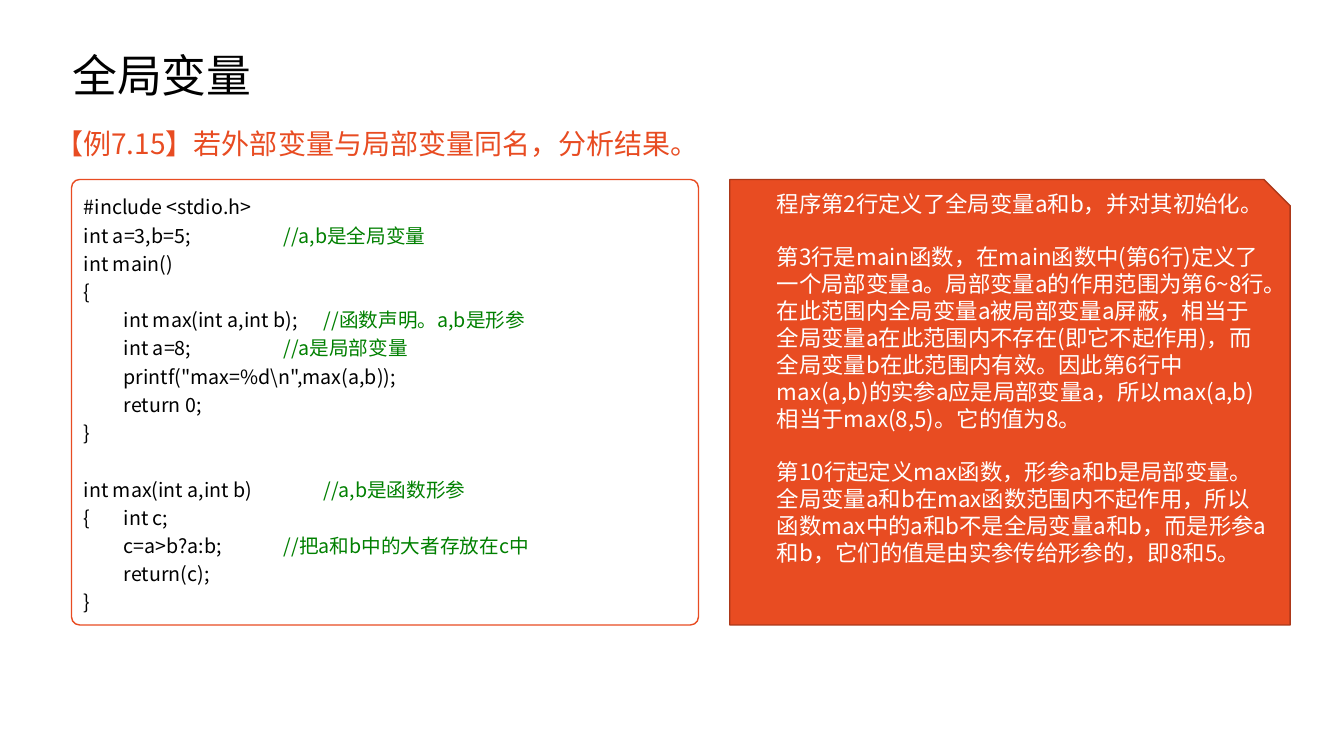
from dataclasses import dataclass

from lxml.etree import SubElement
from pptx import Presentation
from pptx.dml.color import RGBColor
from pptx.enum.shapes import MSO_SHAPE
from pptx.enum.text import MSO_ANCHOR, PP_ALIGN
from pptx.oxml.ns import qn
from pptx.util import Pt


@dataclass(frozen=True)
class Theme:
    font: str = "Noto Sans CJK SC"
    ink: str = "000000"
    paper: str = "FFFFFF"
    accent: str = "E84C22"
    edge: str = "AC3819"
    note: str = "008000"
    title: int = 32
    head: int = 20
    body: int = 16
    code: int = 14
    tab: float = 28.57
    stops: int = 6


class Deck:
    """Draws styled elements on the current slide."""

    def __init__(self, theme):
        self.theme = theme
        self.file = Presentation()
        self.file.slide_width, self.file.slide_height = Pt(960), Pt(540)
        self.slide = self.file.slides.add_slide(self.file.slide_layouts[6])
        fill = self.slide.background.fill
        fill.solid()
        fill.fore_color.rgb = RGBColor.from_string(theme.paper)

    def panel(self, kind, box, adjust, fill, line):
        shape = self.slide.shapes.add_shape(kind, *map(Pt, box))
        shape.shadow.inherit = False
        shape.adjustments[0] = adjust
        shape.fill.solid()
        shape.fill.fore_color.rgb = RGBColor.from_string(fill)
        shape.line.color.rgb = RGBColor.from_string(line)
        shape.line.width = Pt(1)
        return shape

    def label(self, box, paras, size, color, pitch, anchor=MSO_ANCHOR.TOP):
        shape = self.slide.shapes.add_textbox(*map(Pt, box))
        self.flow(shape, [(gap, [(text, color)]) for gap, text in paras],
                  size, pitch, anchor)

    def code(self, shape, lines, size, pitch):
        paras = []
        for gap, line in lines:
            left, mark, right = line.partition("//")
            parts = [(left, self.theme.ink), (mark + right, self.theme.note)]
            paras.append((gap, [part for part in parts if part[0]]))
        self.flow(shape, paras, size, pitch, MSO_ANCHOR.MIDDLE, self.theme.stops)

    def flow(self, shape, paras, size, pitch, anchor, stops=0):
        frame = shape.text_frame
        frame.word_wrap = True
        frame.vertical_anchor = anchor
        for index, (gap, runs) in enumerate(paras):
            para = frame.add_paragraph() if index else frame.paragraphs[0]
            if stops:
                self.tabs(para, stops)
            style = {"alignment": PP_ALIGN.LEFT, "line_spacing": Pt(pitch),
                     "space_before": Pt(gap * pitch)}
            for key, value in style.items():
                setattr(para, key, value)
            for text, color in runs:
                self.run(para, text, size, color)

    def tabs(self, para, stops):
        row = SubElement(para._p.get_or_add_pPr(), qn("a:tabLst"))
        for step in range(1, stops + 1):
            place = str(Pt(step * self.theme.tab))
            SubElement(row, qn("a:tab"), pos=place, algn="l")

    def run(self, para, text, size, color):
        run = para.add_run()
        run.text = text
        for key, value in {"name": self.theme.font, "size": Pt(size)}.items():
            setattr(run.font, key, value)
        run.font.color.rgb = RGBColor.from_string(color)
        SubElement(run._r.get_or_add_rPr(), qn("a:ea"), typeface=self.theme.font)


CODE = [
    (0, "#include <stdio.h>"),
    (0, "int a=3,b=5;\t\t\t//a,b是全局变量"),
    (0, "int main()"),
    (0, "{"),
    (0, "\tint max(int a,int b);\t//函数声明。a,b是形参"),
    (0, "\tint a=8;\t\t\t//a是局部变量"),
    (0, "\tprintf(\"max=%d\\n\",max(a,b));"),
    (0, "\treturn 0;"),
    (0, "}"),
    (1, "int max(int a,int b)\t\t//a,b是函数形参"),
    (0, "{\tint c;"),
    (0, "\tc=a>b?a:b;\t\t//把a和b中的大者存放在c中"),
    (0, "\treturn(c);"),
    (0, "}"),
]
NOTES = [
    (0, "程序第2行定义了全局变量a和b，并对其初始化。"),
    (1, "第3行是main函数，在main函数中(第6行)定义了一个局部变量a。"
        "局部变量a的作用范围为第6~8行。在此范围内全局变量a被局部变量a屏蔽，"
        "相当于全局变量a在此范围内不存在(即它不起作用)，而全局变量b在此范围内有效。"
        "因此第6行中max(a,b)的实参a应是局部变量a，所以max(a,b)相当于max(8,5)。它的值为8。"),
    (1, "第10行起定义max函数，形参a和b是局部变量。全局变量a和b在max函数范围内不起作用，"
        "所以函数max中的a和b不是全局变量a和b，而是形参a和b，"
        "它们的值是由实参传给形参的，即8和5。"),
]


def main():
    look = Theme()
    deck = Deck(look)
    top, height = 128.2, 318.2
    deck.label((44.6, 1.4, 828, 104.4), [(0, "全局变量")],
               look.title, look.ink, 38, MSO_ANCHOR.MIDDLE)
    deck.label((32.4, 80.6, 864, 43.2),
               [(0, "【例7.15】若外部变量与局部变量同名，分析结果。")],
               look.head, look.accent, 30)
    listing = deck.panel(MSO_SHAPE.ROUNDED_RECTANGLE, (51.1, top, 447.8, height),
                         0.018, look.paper, look.accent)
    deck.code(listing, CODE, look.code, 20.16)
    deck.panel(MSO_SHAPE.SNIP_1_RECTANGLE, (521.3, top, 400.3, height),
               0.059, look.accent, look.edge)
    deck.label((547.9, 132, 367.2, 307), NOTES, look.body, look.paper, 19.2)
    deck.file.save("out.pptx")


if __name__ == "__main__":
    main()
